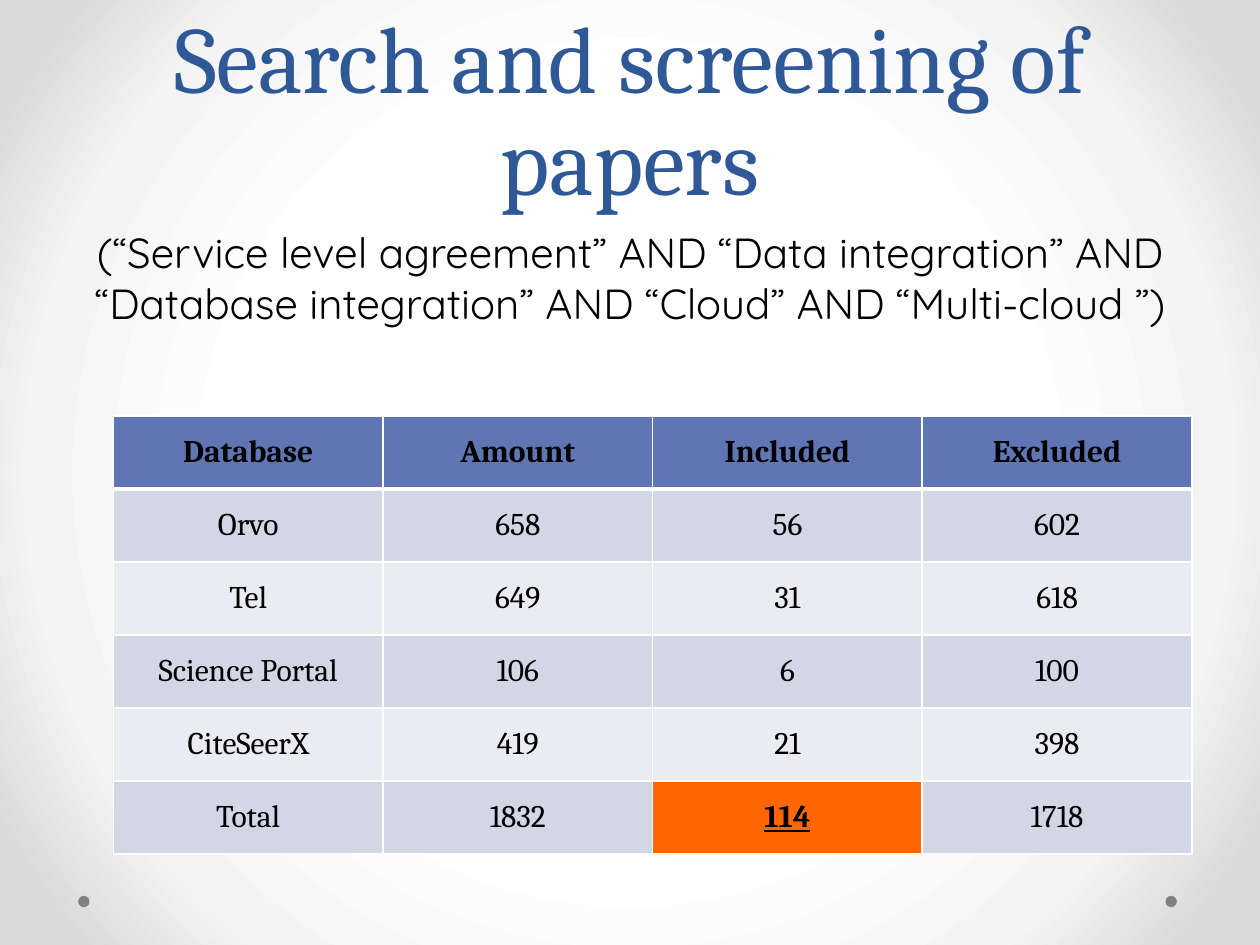
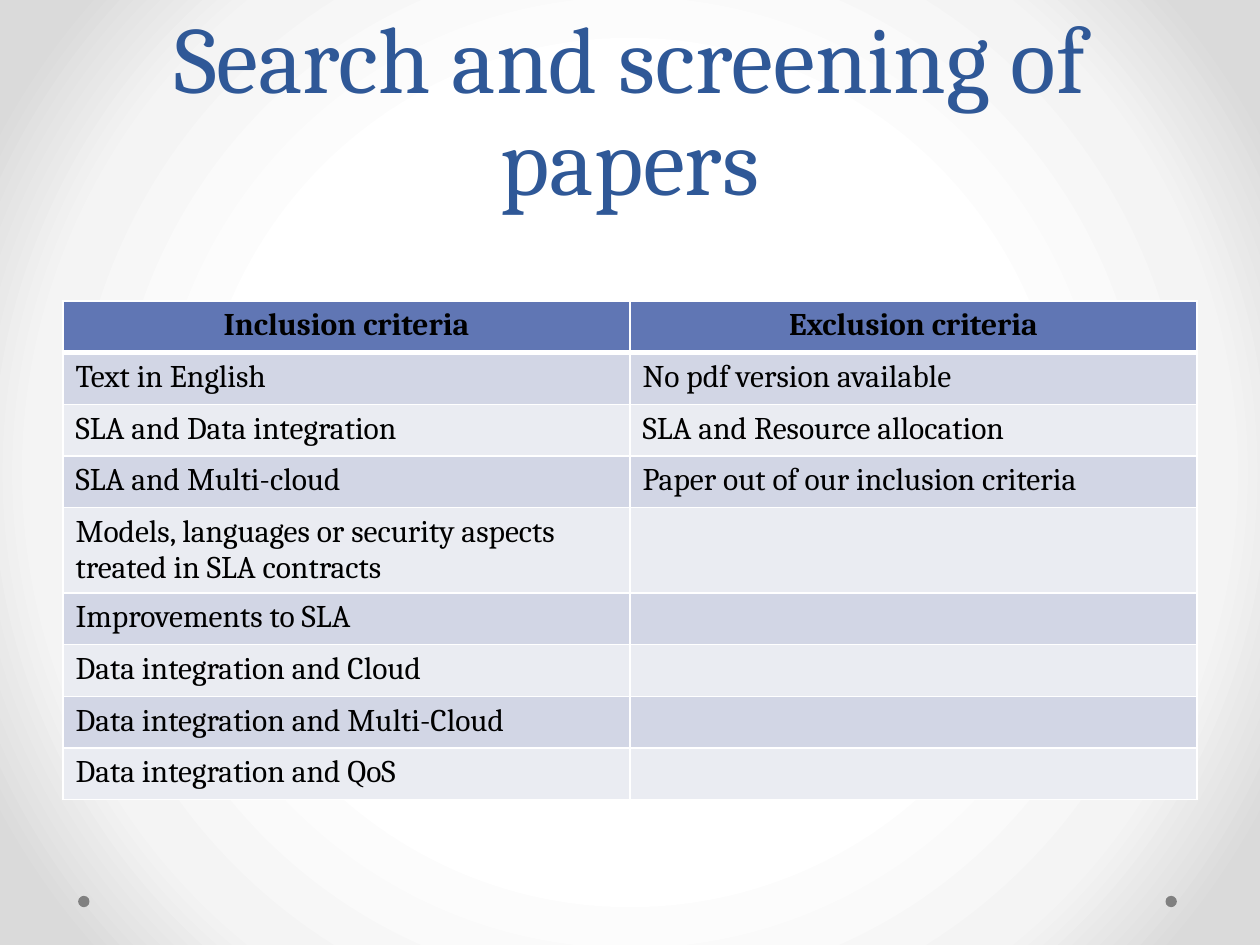
from lxml import etree
from pptx import Presentation
from pptx.dml.color import RGBColor
from pptx.enum.shapes import MSO_SHAPE
from pptx.enum.text import MSO_ANCHOR, MSO_AUTO_SIZE, PP_ALIGN
from pptx.oxml import parse_xml
from pptx.oxml.ns import nsdecls, qn
from pptx.util import Inches, Pt

OVAL = MSO_SHAPE.OVAL
MIDDLE, TOP, BOTTOM = MSO_ANCHOR.MIDDLE, MSO_ANCHOR.TOP, MSO_ANCHOR.BOTTOM
CENTER, LEFT = PP_ALIGN.CENTER, PP_ALIGN.LEFT

# Content
TITLE = "Search and screening of papers"
QUERY = ("(“Service level agreement” AND “Data integration” AND "
         "“Database integration” AND “Cloud” AND “Multi-cloud ”)")
COUNTS = [
    ("Database", "Amount", "Included", "Excluded"),
    ("Orvo", "658", "56", "602"),
    ("Tel", "649", "31", "618"),
    ("Science Portal", "106", "6", "100"),
    ("CiteSeerX", "419", "21", "398"),
    ("Total", "1832", "114", "1718"),
]
CRITERIA = [
    ("Inclusion criteria", "Exclusion criteria"),
    ("Text in English", "No pdf version available"),
    ("SLA and Data integration", "SLA and Resource allocation"),
    ("SLA and Multi-cloud", "Paper out of our inclusion criteria"),
    ("Models, languages or security aspects treated in SLA contracts", ""),
    ("Improvements to SLA", ""),
    ("Data integration and Cloud", ""),
    ("Data integration and Multi-Cloud", ""),
    ("Data integration and QoS", ""),
]

# Shared style
COLORS = {"title": "2F5897", "text": "000000", "head": "6076B4",
          "odd": "D2D6E5", "even": "EAECF2", "mark": "FF6600",
          "line": "FFFFFF", "dot": "808080"}
SERIF, SANS = "Cambria", "Quicksand"
GLOW = [(50, "FFFFFF"), (76, "F4F4F4"), (92, "DADADA")]
DOTS, DOT_TOP, DOT_SIZE = (0.62, 9.25), 7.11, 0.09


def rgb(key):
    return RGBColor.from_string(COLORS[key])


def style(para, size, face, color, align, bold=False):
    para.alignment = align
    for run in para.runs:
        font = run.font
        font.size, font.name, font.bold = Pt(size), face, bold
        font.color.rgb = rgb(color)


def set_glow(master):
    """Give the master its round grey gradient."""
    fill = master.background.fill
    fill.solid()
    stops = "".join(f'<a:gs pos="{pos * 1000}"><a:srgbClr val="{hue}"/></a:gs>'
                    for pos, hue in GLOW)
    glow = parse_xml(
        f'<a:gradFill {nsdecls("a")} rotWithShape="1"><a:gsLst>{stops}</a:gsLst>'
        '<a:path path="circle"><a:fillToRect l="50000" t="50000" r="50000" '
        'b="50000"/></a:path></a:gradFill>')
    old = master.element.find(".//" + qn("p:bgPr")).find(qn("a:solidFill"))
    old.getparent().replace(old, glow)


def add_slide(prs):
    """Add a slide with the corner dots and the title."""
    slide = prs.slides.add_slide(prs.slide_layouts[5])
    for left in DOTS:
        dot = slide.shapes.add_shape(OVAL, Inches(left), Inches(DOT_TOP),
                                     Inches(DOT_SIZE), Inches(DOT_SIZE))
        dot.shadow.inherit = False
        dot.fill.solid()
        dot.fill.fore_color.rgb = rgb("dot")
        dot.line.fill.background()
    title = slide.shapes.title
    title.left, title.top = Inches(0.5), Inches(0)
    title.width, title.height = Inches(9), Inches(1.75)
    frame = title.text_frame
    frame.text = TITLE
    frame.auto_size = MSO_AUTO_SIZE.NONE
    frame.vertical_anchor = BOTTOM
    para = frame.paragraphs[0]
    para.line_spacing = Pt(58)
    style(para, 54, SERIF, "title", CENTER)
    return slide


def set_edges(cell, row):
    """Draw white cell borders, thick under the header."""
    props = cell._tc.get_or_add_tcPr()
    for side in "LRTB":
        thick = (row, side) in ((0, "B"), (1, "T"))
        edge = etree.SubElement(props, qn("a:ln" + side),
                                w=str(Pt(3 if thick else 1)))
        paint = etree.SubElement(edge, qn("a:solidFill"))
        etree.SubElement(paint, qn("a:srgbClr"), val=COLORS["line"])


def add_grid(slide, rows, left, top, col, high, align, anchor):
    """Add a banded table with equal columns and rows."""
    wide = len(rows[0])
    table = slide.shapes.add_table(
        len(rows), wide, Inches(left), Inches(top),
        Inches(col * wide), Inches(high * len(rows))).table
    for r, row in enumerate(rows):
        band = "head" if r == 0 else "odd" if r % 2 else "even"
        for c, text in enumerate(row):
            cell = table.cell(r, c)
            cell.text = text
            cell.vertical_anchor = anchor
            style(cell.text_frame.paragraphs[0], 18, SERIF, "text",
                  align if r else CENTER, r == 0)
            set_edges(cell, r)
            cell.fill.solid()
            cell.fill.fore_color.rgb = rgb(band)
    return table


def main():
    prs = Presentation()
    prs.slide_width, prs.slide_height = Inches(10), Inches(7.5)
    set_glow(prs.slide_master)

    # Slide 1: query and paper counts
    slide = add_slide(prs)
    box = slide.shapes.add_textbox(Inches(0.5), Inches(1.75),
                                   Inches(9), Inches(1))
    box.text_frame.word_wrap = True
    box.text_frame.text = QUERY
    style(box.text_frame.paragraphs[0], 24, SANS, "text", CENTER)
    table = add_grid(slide, COUNTS, 0.9, 3.3, 2.14, 0.58, CENTER, MIDDLE)
    total = table.cell(len(COUNTS) - 1, 2)
    total.fill.fore_color.rgb = rgb("mark")
    font = total.text_frame.paragraphs[0].runs[0].font
    font.bold = font.underline = True

    # Slide 2: criteria
    slide = add_slide(prs)
    add_grid(slide, CRITERIA, 0.5, 2.39, 4.5, 0.41, LEFT, TOP)

    prs.save("out.pptx")


if __name__ == "__main__":
    main()
